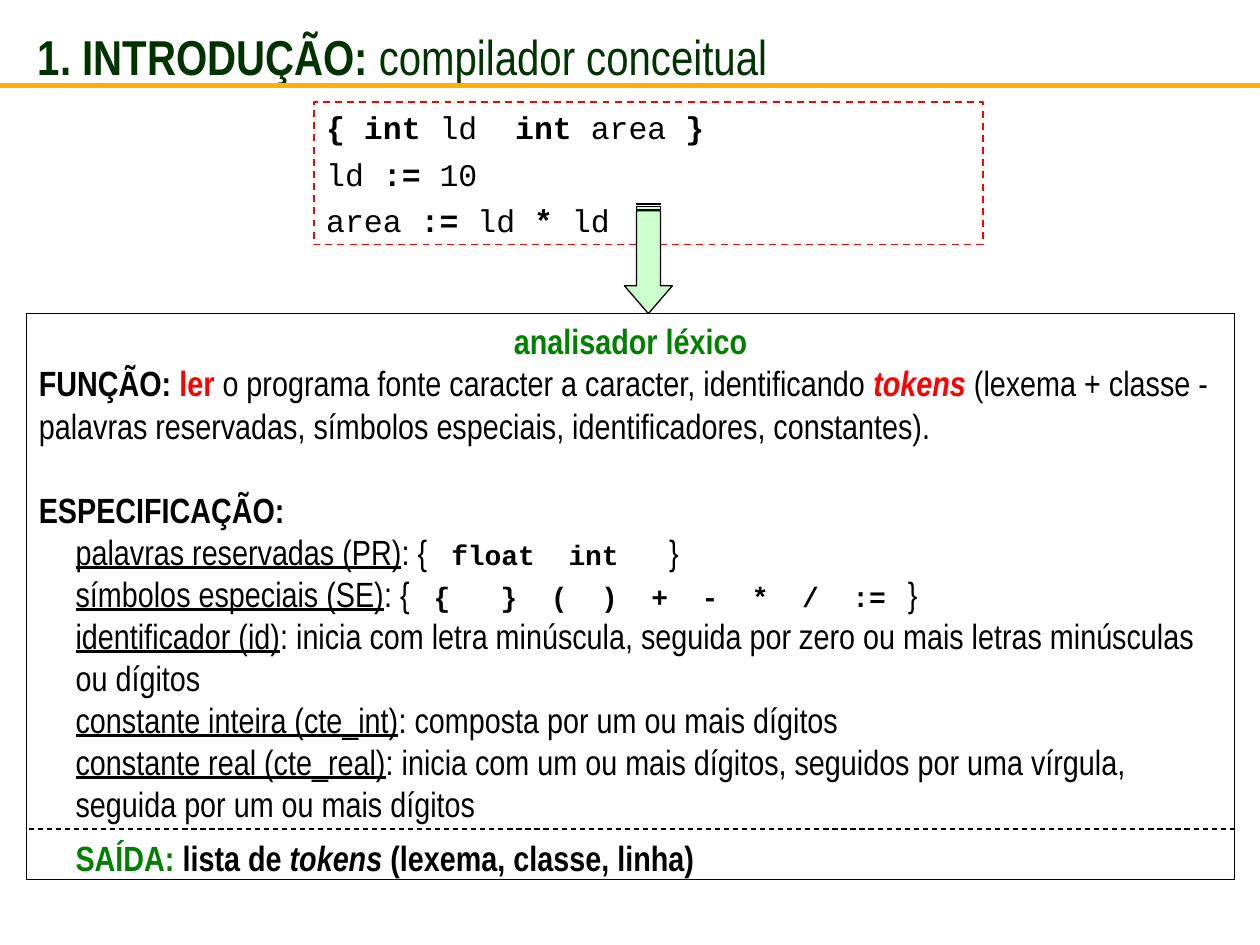
from pptx import Presentation
from pptx.util import Pt
from pptx.dml.color import RGBColor
from pptx.enum.dml import MSO_LINE
from pptx.enum.shapes import MSO_SHAPE as Shape, MSO_CONNECTOR as Conn
from pptx.enum.text import PP_ALIGN as Align, MSO_ANCHOR as Anchor, MSO_AUTO_SIZE as Auto
from pptx.oxml.ns import qn
from lxml.etree import SubElement

BLACK = RGBColor(0, 0, 0)
WHITE = RGBColor(255, 255, 255)
RED = RGBColor(255, 0, 0)
GREEN = RGBColor(0, 128, 0)
DARK = RGBColor(0, 51, 0)
MINT = RGBColor(204, 255, 204)
AMBER = RGBColor(255, 176, 0)
SANS, MONO = "Arial Narrow", "Courier New"
INDENT = 21

# A run is plain text, or (text, marks, colour); marks: b, i, u, c = code, s = smaller
TITLE = [("1. INTRODUÇÃO: ", "b"), "compilador conceitual"]
CODE = [
    [("{ int ", "b"), "ld  ", ("int ", "b"), "area ", ("}", "b")],
    ["ld ", (":= ", "b"), "10"],
    ["area ", (":= ", "b"), "ld ", ("* ", "b"), "ld"],
]
HEAD = [("analisador léxico", "b", GREEN)]
ROLE = [
    ("FUNÇÃO: ", "b"), ("ler", "b", RED),
    " o programa fonte caracter a caracter, identificando ",
    ("tokens", "bi", RED),
    " (lexema + classe - palavras reservadas, símbolos especiais, "
    "identificadores, constantes).",
]
SPEC = [("ESPECIFICAÇÃO:", "b")]
RULES = [
    ("palavras reservadas (PR)", [": {   ", ("float  int   ", "bc"), "}"]),
    ("símbolos especiais (SE)",
     [": {   ", ("{   }  (  )  +  -  *  /  :=", "bc"), ("   ", "s"), "}"]),
    ("identificador (id)",
     [": inicia com letra minúscula, seguida por zero ou mais letras "
      "minúsculas ou dígitos"]),
    ("constante inteira (cte_int)", [": composta por um ou mais dígitos"]),
    ("constante real (cte_real)",
     [": inicia com um ou mais dígitos, seguidos por uma vírgula, "
      "seguida por um ou mais dígitos"]),
]
OUTPUT = [("SAÍDA: ", "b", GREEN), ("lista de ", "b"), ("tokens", "bi"),
          (" (lexema, classe, linha)", "b")]


def add_runs(para, runs, font, size, color=BLACK):
    """Fill a paragraph with runs on top of its base font."""
    base = para.font
    base.name, base.size, base.bold = font, Pt(size), False
    base.color.rgb = color
    for item in runs:
        text, marks, tint = ((item,) if isinstance(item, str) else item) + ("", None)[
            (0 if isinstance(item, str) else len(item) - 1):]
        run = para.add_run()
        run.text = text
        if "b" in marks:
            run.font.bold = True
        if "i" in marks:
            run.font.italic = True
        if "u" in marks:
            run.font.underline = True
        if "c" in marks:
            run.font.name, run.font.size = MONO, Pt(16)
        if "s" in marks:
            run.font.size = Pt(18)
        if tint is not None:
            run.font.color.rgb = tint


def add_block(kind, place, fill, line, width):
    """Add a filled, outlined shape without shadow."""
    shape = slide.shapes.add_shape(kind, *map(Pt, place))
    shape.shadow.inherit = False
    shape.fill.solid()
    shape.fill.fore_color.rgb = fill
    shape.line.color.rgb = line
    shape.line.width = Pt(width)
    return shape


def add_paras(shape, rows):
    """Write rows of (runs, font, size, alignment, space before, indent)."""
    frame = shape.text_frame
    frame.word_wrap, frame.vertical_anchor = True, Anchor.TOP
    for num, (runs, font, size, align, space, indent) in enumerate(rows):
        para = frame.add_paragraph() if num else frame.paragraphs[0]
        para.alignment, para.space_before = align, Pt(space)
        if indent:
            props = para._p.get_or_add_pPr()
            props.set("marL", str(Pt(indent)))
            props.set("indent", "0")
        add_runs(para, runs, font, size)


def add_rule(left, right, top, color, width):
    """Add a horizontal line without shadow."""
    rule = slide.shapes.add_connector(
        Conn.STRAIGHT, Pt(left), Pt(top), Pt(right), Pt(top))
    rule.line.color.rgb = color
    rule.line.width = Pt(width)
    SubElement(rule._element.spPr, qn("a:effectLst"))
    return rule


deck = Presentation()
deck.slide_width, deck.slide_height = Pt(720), Pt(540)
slide = deck.slides.add_slide(deck.slide_layouts[5])

title = slide.shapes.title
title.left, title.top, title.width, title.height = map(Pt, (14.4, 8, 690.5, 48))
frame = title.text_frame
frame.auto_size, frame.word_wrap = Auto.NONE, True
frame.vertical_anchor = Anchor.MIDDLE
frame.paragraphs[0].alignment = Align.LEFT
add_runs(frame.paragraphs[0], TITLE, SANS, 28, DARK)

source = add_block(Shape.RECTANGLE, (179.3, 58.3, 382.3, 81.4), WHITE, RED, 1)
source.line.dash_style = MSO_LINE.DASH
add_paras(source, [(runs, MONO, 18, Align.LEFT, 5, 0) for runs in CODE])

arrow = add_block(Shape.STRIPED_RIGHT_ARROW, (339, 134, 63, 27.4), MINT, BLACK, 0.75)
arrow.rotation = 90
arrow.adjustments[0], arrow.adjustments[1] = 0.5, 0.58

lexer = add_block(Shape.RECTANGLE, (15.1, 179.3, 690.5, 323.3), WHITE, BLACK, 0.75)
rows = [(HEAD, Align.CENTER, 0, 0), (ROLE, Align.LEFT, 0, 0), (SPEC, Align.LEFT, 24, 0)]
rows += [([(name, "u")] + rest, Align.LEFT, 0, INDENT) for name, rest in RULES]
rows.append((OUTPUT, Align.LEFT, 7, INDENT))
add_paras(lexer, [(runs, SANS, 20, *rest) for runs, *rest in rows])

add_rule(16.5, 705.6, 473.8, BLACK, 0.75).line.dash_style = MSO_LINE.DASH
add_rule(0, 720, 49, AMBER, 3)

deck.save("out.pptx")
